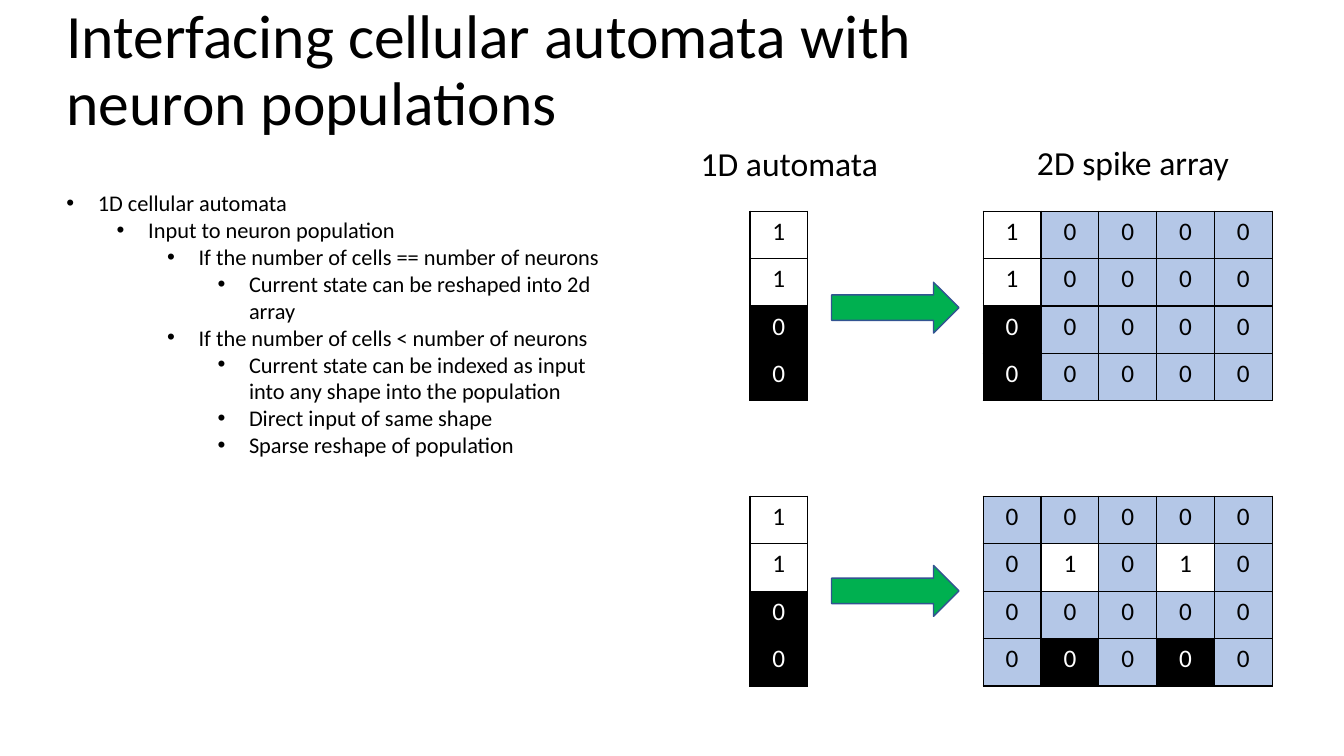
from dataclasses import dataclass

from lxml.etree import SubElement
from pptx import Presentation
from pptx.dml.color import RGBColor
from pptx.enum.shapes import MSO_SHAPE
from pptx.enum.text import MSO_ANCHOR, MSO_AUTO_SIZE, PP_ALIGN
from pptx.oxml.ns import qn
from pptx.util import Pt

# Content
TITLE = "Interfacing cellular automata with neuron populations"
POINTS = [  # (level, text)
    (0, "1D cellular automata"),
    (1, "Input to neuron population"),
    (2, "If the number of cells == number of neurons"),
    (3, "Current state can be reshaped into 2d array"),
    (2, "If the number of cells < number of neurons"),
    (3, "Current state can be indexed as input into any shape into the population"),
    (3, "Direct input of same shape"),
    (3, "Sparse reshape of population"),
]
HEADINGS = [  # (text, left, top, width)
    ("1D automata", 478.1, 98.6, 171.4),
    ("2D spike array", 684.7, 97.9, 249.1),
]
# Each cell is 1 (live), 0 (dead) or . (neuron without input, shown as 0)
AUTOMATON = ["1", "1", "0", "0"]
MAPPINGS = [  # (table top, arrow top, spike array)
    (150.8, 201.6, ["1....", "1....", "0....", "0...."]),
    (354.5, 403.9, [".....", ".1.1.", ".....", ".0.0."]),
]


# Theme
@dataclass(frozen=True)
class Theme:
    font: str = "Calibri"
    title_size: int = 44
    heading_size: int = 24
    cell_size: int = 18
    body_size: int = 16
    black: str = "000000"
    white: str = "FFFFFF"
    idle: str = "B4C7E7"
    arrow: str = "00B050"
    arrow_edge: str = "325491"


THEME = Theme()
CELL_STYLES = {  # state: (shown value, fill, text colour)
    "1": ("1", THEME.white, THEME.black),
    "0": ("0", THEME.black, THEME.white),
    ".": ("0", THEME.idle, THEME.black),
}

# Geometry in points
SLIDE_W, SLIDE_H = 960, 540
MARGIN_LEFT = 40.3
AUTOMATON_LEFT, ARROW_LEFT, SPIKES_LEFT = 535.7, 594, 702.3
CELL_W, CELL_H = 41.3, 33.9
ARROW_W, ARROW_H = 91, 36.3
LEVEL_STEP, BULLET_INDENT = 36, 22.5


def add_run(paragraph, text, size, color=THEME.black):
    run = paragraph.add_run()
    run.text = text
    run.font.name = THEME.font
    run.font.size = Pt(size)
    run.font.color.rgb = RGBColor.from_string(color)


def add_frame(slide, left, top, width, height):
    box = slide.shapes.add_textbox(Pt(left), Pt(top), Pt(width), Pt(height))
    frame = box.text_frame
    frame.word_wrap = True
    return frame


def add_bullet(paragraph, level):
    paragraph.level = level
    props = paragraph._p.get_or_add_pPr()
    props.set("marL", str(Pt(BULLET_INDENT + level * LEVEL_STEP)))
    props.set("indent", str(-Pt(BULLET_INDENT)))
    SubElement(props, qn("a:buFont"), typeface="Arial")
    SubElement(props, qn("a:buChar"), char="•")


def add_borders(cell):
    props = cell._tc.get_or_add_tcPr()
    for side in ("lnL", "lnR", "lnT", "lnB"):
        border = SubElement(props, qn(f"a:{side}"), w=str(Pt(1)))
        fill = SubElement(border, qn("a:solidFill"))
        SubElement(fill, qn("a:srgbClr"), val=THEME.black)


def add_grid(slide, left, top, states):
    rows, cols = len(states), len(states[0])
    grid = slide.shapes.add_table(
        rows, cols, Pt(left), Pt(top), Pt(cols * CELL_W), Pt(rows * CELL_H)
    ).table
    grid.first_row = grid.horz_banding = False
    for column in grid.columns:
        column.width = Pt(CELL_W)
    for r, row_states in enumerate(states):
        grid.rows[r].height = Pt(CELL_H)
        for c, state in enumerate(row_states):
            value, fill, color = CELL_STYLES[state]
            cell = grid.cell(r, c)
            add_borders(cell)
            cell.fill.solid()
            cell.fill.fore_color.rgb = RGBColor.from_string(fill)
            paragraph = cell.text_frame.paragraphs[0]
            paragraph.alignment = PP_ALIGN.CENTER
            add_run(paragraph, value, THEME.cell_size, color)


def add_arrow(slide, top):
    arrow = slide.shapes.add_shape(
        MSO_SHAPE.RIGHT_ARROW, Pt(ARROW_LEFT), Pt(top), Pt(ARROW_W), Pt(ARROW_H)
    )
    arrow.shadow.inherit = False
    arrow.fill.solid()
    arrow.fill.fore_color.rgb = RGBColor.from_string(THEME.arrow)
    arrow.line.color.rgb = RGBColor.from_string(THEME.arrow_edge)
    arrow.line.width = Pt(1)


def main():
    deck = Presentation()
    deck.slide_width, deck.slide_height = Pt(SLIDE_W), Pt(SLIDE_H)
    slide = deck.slides.add_slide(deck.slide_layouts[6])

    # Title
    title = add_frame(slide, MARGIN_LEFT, -0.7, 721.4, 104.4)
    title.vertical_anchor = MSO_ANCHOR.MIDDLE
    title.paragraphs[0].line_spacing = 0.9
    add_run(title.paragraphs[0], TITLE, THEME.title_size)

    # Bullet points
    body = add_frame(slide, MARGIN_LEFT, 131.8, 403.2, 223.2)
    body.auto_size = MSO_AUTO_SIZE.SHAPE_TO_FIT_TEXT
    for i, (level, text) in enumerate(POINTS):
        paragraph = body.add_paragraph() if i else body.paragraphs[0]
        add_bullet(paragraph, level)
        add_run(paragraph, text, THEME.body_size)

    # Column headings
    for text, left, top, width in HEADINGS:
        heading = add_frame(slide, left, top, width, 36.3)
        heading.auto_size = MSO_AUTO_SIZE.SHAPE_TO_FIT_TEXT
        heading.paragraphs[0].alignment = PP_ALIGN.CENTER
        add_run(heading.paragraphs[0], text, THEME.heading_size)

    # Automaton, arrow and spike array for each mapping
    for table_top, arrow_top, spikes in MAPPINGS:
        add_grid(slide, AUTOMATON_LEFT, table_top, AUTOMATON)
        add_arrow(slide, arrow_top)
        add_grid(slide, SPIKES_LEFT, table_top, spikes)

    deck.save("out.pptx")


if __name__ == "__main__":
    main()
